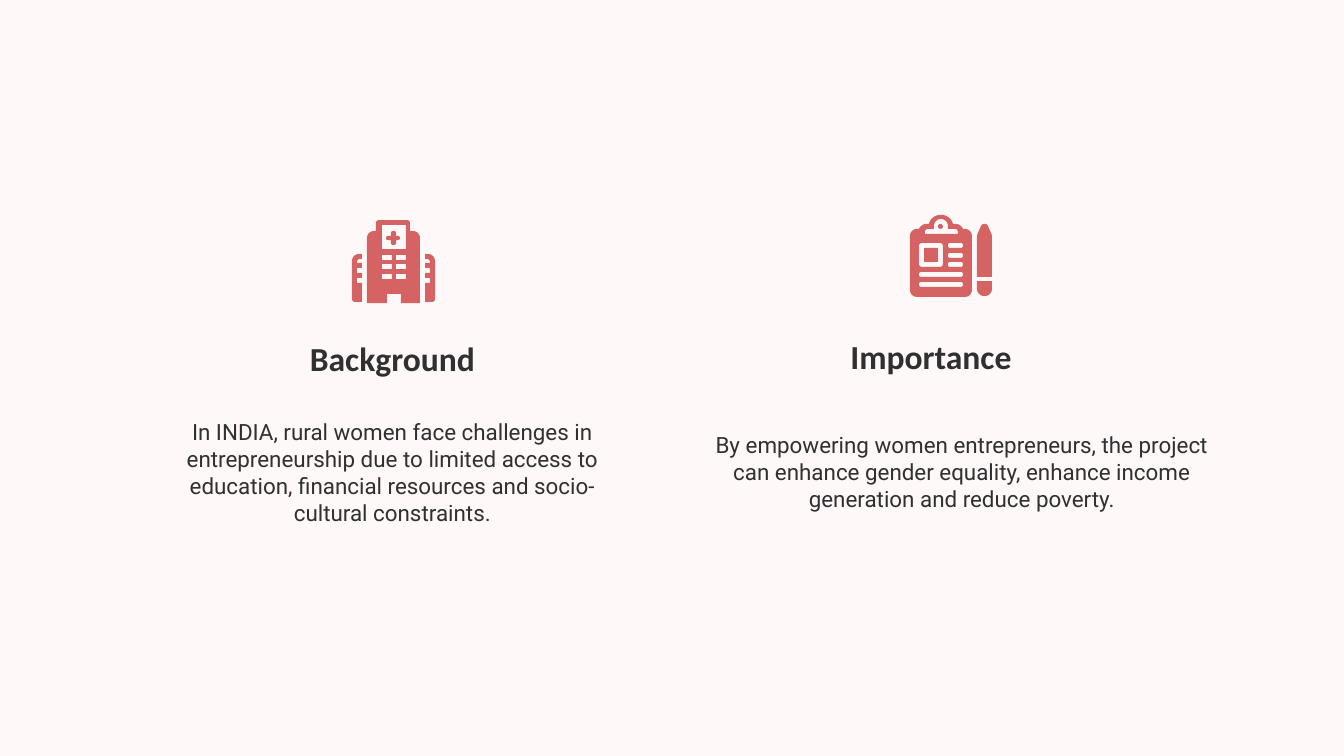
from math import hypot, sqrt

from pptx import Presentation
from pptx.dml.color import RGBColor
from pptx.enum.shapes import MSO_SHAPE
from pptx.enum.text import MSO_ANCHOR, MSO_AUTO_SIZE, PP_ALIGN
from pptx.util import Emu, Pt

EMU_PER_PX = 914400 / 134.4
BACKDROP, ACCENT, INK = "FFF8F8", "D66363", "303030"


def px(length):
    return Emu(round(length * EMU_PER_PX))


def color(hex_string):
    return RGBColor.from_string(hex_string)


def paint(shape):
    shape.shadow.inherit = False
    shape.fill.solid()
    shape.fill.fore_color.rgb = color(ACCENT)
    shape.line.fill.background()


# --- Outlines: corners are (x, y) or (x, y, radius) ---
def rect(left, top, right, bottom, radius=0):
    return [(left, top, radius), (right, top, radius),
            (right, bottom, radius), (left, bottom, radius)]


def mirror(corners, width):
    return [(width - x, y, *radius) for x, y, *radius in corners]


def toward(corner, target, distance):
    dx, dy = target[0] - corner[0], target[1] - corner[1]
    share = distance / hypot(dx, dy)
    return corner[0] + dx * share, corner[1] + dy * share


def round_corners(corners, steps=6):
    points = []
    for i, corner in enumerate(corners):
        radius = corner[2] if len(corner) > 2 else 0
        if not radius:
            points.append(corner[:2])
            continue
        start = toward(corner, corners[i - 1], radius)
        end = toward(corner, corners[(i + 1) % len(corners)], radius)
        for step in range(steps + 1):
            t = step / steps
            a, b, c = (1 - t) ** 2, sqrt(2) * t * (1 - t), t ** 2
            points.append(tuple((a * start[k] + b * corner[k] + c * end[k]) / (a + b + c)
                                for k in (0, 1)))
    return points


def add_outline(group, left, top, *contours):
    """Draw one shape; contours after the first cut holes in it."""
    builder = None
    for corners in contours:
        points = [(px(x), px(y)) for x, y in round_corners(corners)]
        if builder is None:
            builder = group.shapes.build_freeform(*points[0])
        else:
            builder.move_to(*points[0])
        builder.add_line_segments(points[1:], close=True)
    paint(builder.convert_to_shape(px(left), px(top)))


# --- Icons ---
def add_hospital(slide, left, top):
    group = slide.shapes.add_group_shape()
    cross = [(39, 11, 2), (44, 11, 2), (44, 16), (48, 16, 2), (48, 20, 2), (44, 20),
             (44, 25, 2), (39, 25, 2), (39, 20), (34, 20, 2), (34, 16, 2), (39, 16)]
    wing = [(10, 34), (0, 34, 7), (0, 82, 3), (10, 82)]
    for notch in (58, 48):
        wing += [(10, notch + 5), (5, notch + 5), (5, notch), (10, notch)]
    wing += [(10, 43), (5, 43), (5, 39, 3), (10, 39)]
    tower = [(24, 0, 3), (58, 0, 3), (58, 11), (68, 11, 7), (68, 83), (49, 83),
             (49, 74), (35, 74), (35, 83), (15, 83), (15, 11, 7), (24, 11)]
    sign = rect(30, 5, 54, 29)
    windows = [rect(x, y, x + 10, y + 5) for y in (35, 44, 54) for x in (30, 44)]
    add_outline(group, left, top, cross)
    add_outline(group, left, top, wing)
    add_outline(group, left, top, mirror(wing, 83))
    add_outline(group, left, top, tower, sign, *windows)


def add_clipboard(slide, left, top):
    group = slide.shapes.add_group_shape()
    board = [(0, 14, 7), (9, 14), (12, 9, 4), (19, 9), (21, 0, 9), (41, 0, 9), (43, 9),
             (50, 9, 4), (53, 14), (62, 14, 7), (62, 82, 7), (0, 82, 7)]
    clip = [(15, 19), (15, 14, 3), (24, 14), (24, 4, 7), (38, 4, 7), (38, 14),
            (48, 14, 3), (48, 19)]
    frame = rect(9, 28, 33, 52, 3)
    short_lines = [rect(38, y, 53, y + 5, 2) for y in (28, 38, 47)]
    long_lines = [rect(9, y, 53, y + 5, 2) for y in (57, 67)]
    pencil = [(67, 62), (67, 20, 2), (72, 9, 2), (77, 9, 2), (82, 20, 2), (82, 62)]
    eraser = [(67, 66), (82, 66), (82, 81, 7), (67, 81, 7)]
    add_outline(group, left, top, board, clip, frame, *short_lines, *long_lines)
    add_outline(group, left, top, pencil)
    add_outline(group, left, top, eraser)
    for preset, x, y, size in ((MSO_SHAPE.OVAL, 28, 9, 5), (MSO_SHAPE.RECTANGLE, 14, 33, 14)):
        paint(group.shapes.add_shape(preset, px(left + x), px(top + y), px(size), px(size)))


# --- Text ---
def fill_placeholder(placeholder, box, text, font_name, size, bold, anchor):
    placeholder.left, placeholder.top, placeholder.width, placeholder.height = map(px, box)
    frame = placeholder.text_frame
    frame.text = text
    frame.word_wrap = True
    frame.auto_size = MSO_AUTO_SIZE.NONE
    frame.vertical_anchor = anchor
    frame.margin_left = frame.margin_right = px(13)
    frame.margin_top = frame.margin_bottom = px(13)
    paragraph = frame.paragraphs[0]
    paragraph.alignment = PP_ALIGN.CENTER
    paragraph.space_before = Pt(0)
    font = paragraph.font
    font.name, font.size, font.bold = font_name, Pt(size), bold
    font.color.rgb = color(INK)
    # No bullet or hanging indent
    properties = paragraph._p.get_or_add_pPr()
    properties.set("marL", "0")
    properties.set("indent", "0")
    bullet_off = properties.makeelement(
        "{http://schemas.openxmlformats.org/drawingml/2006/main}buNone", {})
    properties.find("{*}defRPr").addprevious(bullet_off)


def add_topic(slide, first_idx, heading_box, heading, body_box, body):
    fill_placeholder(slide.placeholders[first_idx], heading_box, heading,
                     "Calibri", 18, True, MSO_ANCHOR.BOTTOM)
    fill_placeholder(slide.placeholders[first_idx + 1], body_box, body,
                     "Roboto", 12, False, MSO_ANCHOR.TOP)


def main():
    deck = Presentation()
    deck.slide_width, deck.slide_height = px(1344), px(756)
    slide = deck.slides.add_slide(deck.slide_layouts.get_by_name("Comparison"))
    slide.background.fill.solid()
    slide.background.fill.fore_color.rgb = color(BACKDROP)
    title = slide.shapes.title._element
    title.getparent().remove(title)

    add_topic(slide, 1, (144, 329, 497, 62), "Background", (144, 405, 497, 207),
              "In INDIA, rural women face challenges in entrepreneurship due to limited "
              "access to education, financial resources and socio-cultural constraints.")
    add_topic(slide, 3, (692, 327, 478, 62), "Importance", (700, 418, 524, 223),
              "By empowering women entrepreneurs, the project can enhance gender equality, "
              "enhance income generation and reduce poverty.")
    add_hospital(slide, 352, 220)
    add_clipboard(slide, 910, 215)
    deck.save("out.pptx")


if __name__ == "__main__":
    main()
